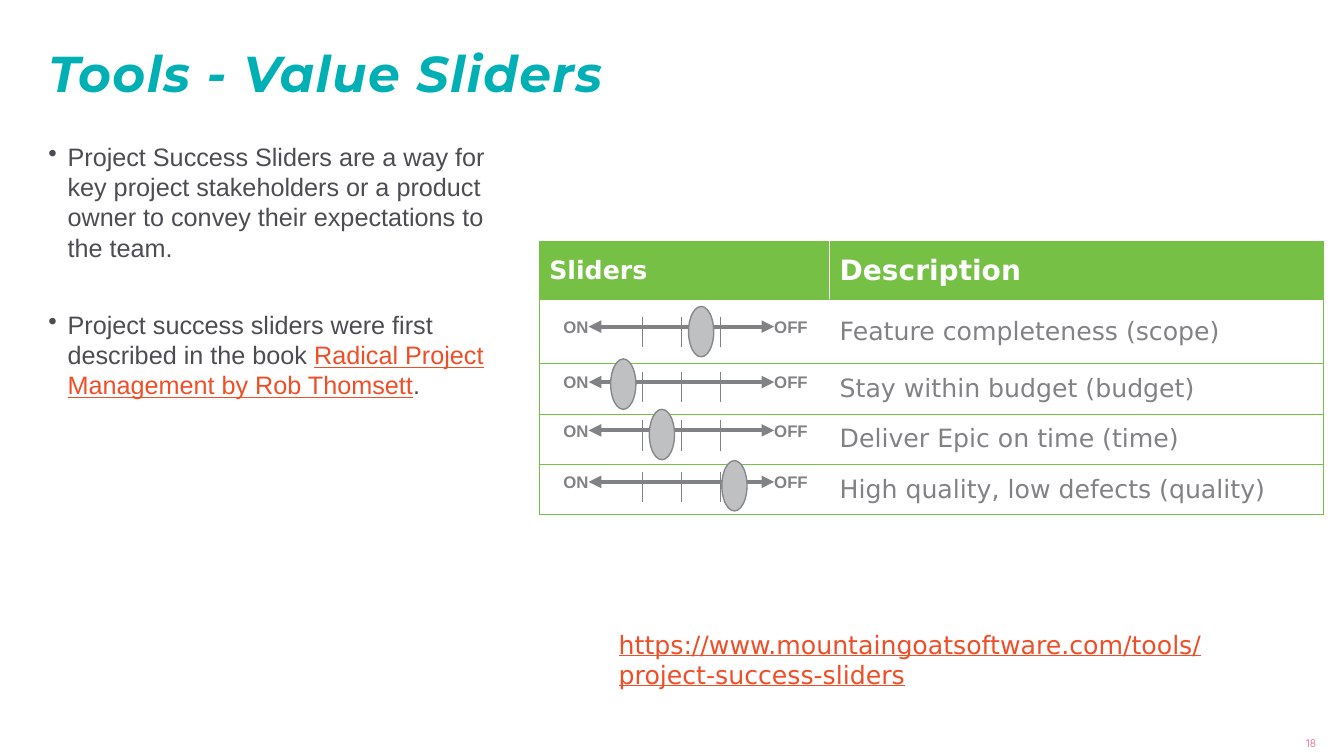
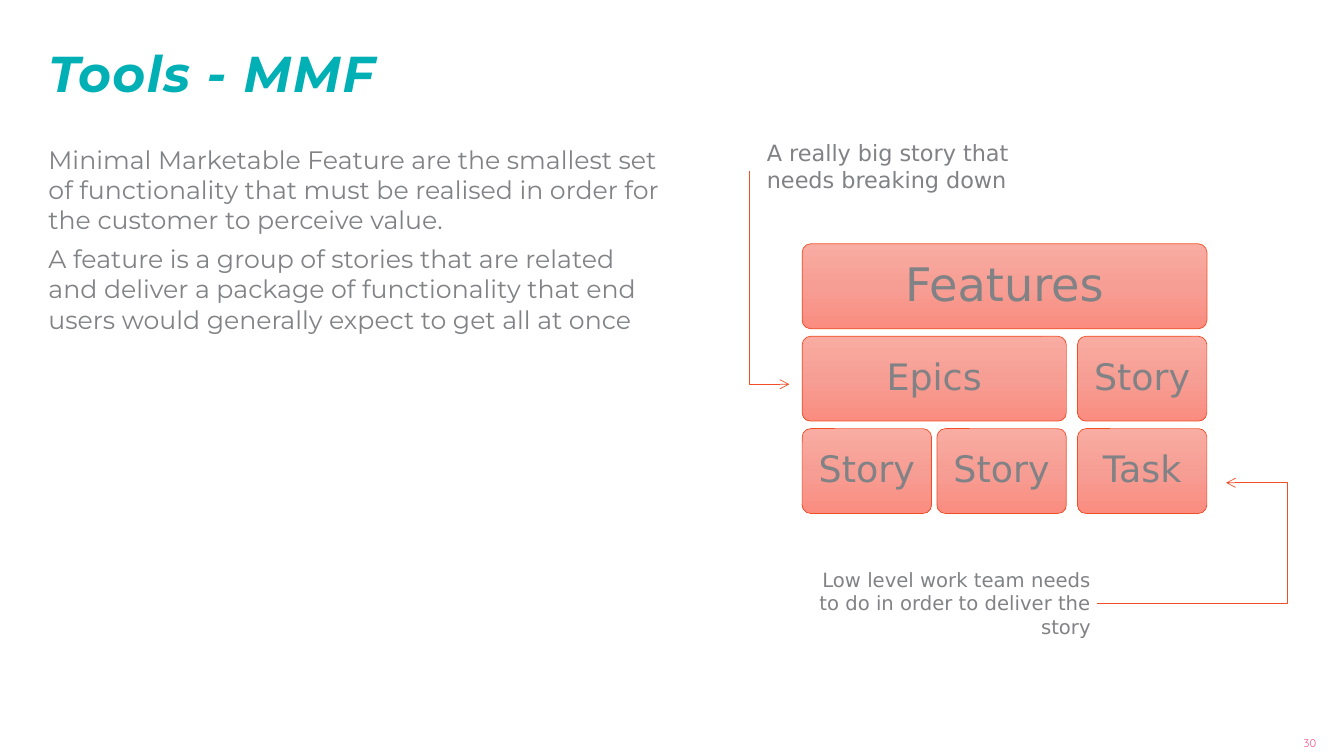
"""Build two slides on agile planning tools: value sliders and MMF."""
from dataclasses import dataclass

import lxml.etree
import pptx
import pptx.dml.color
import pptx.enum.shapes
import pptx.enum.text
import pptx.oxml
import pptx.oxml.ns
import pptx.util

Pt = pptx.util.Pt
RGB = pptx.dml.color.RGBColor
ALIGN = pptx.enum.text.PP_ALIGN
ANCHOR = pptx.enum.text.MSO_ANCHOR
SHAPE = pptx.enum.shapes.MSO_SHAPE
CONNECTOR = pptx.enum.shapes.MSO_CONNECTOR
qn = pptx.oxml.ns.qn
Point = tuple[float, float]


@dataclass(frozen=True)
class Theme:
    teal: str = "00B0B5"
    pink: str = "F05588"
    orange: str = "F04E27"
    green: str = "77C046"
    white: str = "FFFFFF"
    dark: str = "4C4D52"
    grey: str = "808285"
    knob: str = "BFC0C2"
    knob_edge: str = "86888B"
    block_stops: tuple = ((0, "F9ACA2"), (50, "F79E94"), (100, "FA8C80"))
    heading: str = "Montserrat"
    sans: str = "DejaVu Sans"
    plain: str = "Arial"
    number: str = "Quicksand"
    title_size: float = 36
    feature_size: float = 33
    block_size: float = 26
    header_size: float = 20
    body_size: float = 18
    note_size: float = 16
    small_note_size: float = 14
    label_size: float = 12
    number_size: float = 8


T = Theme()


@dataclass(frozen=True)
class Box:
    x: float
    y: float
    w: float
    h: float

    def emu(self) -> tuple:
        return tuple(Pt(v) for v in (self.x, self.y, self.w, self.h))


@dataclass(frozen=True)
class Style:
    font: str
    size: float
    color: str
    bold: bool = False
    italic: bool = False
    underline: bool = False


@dataclass(frozen=True)
class Slider:
    description: str
    row_height: float
    axis_y: float
    knob_x: float
    knob_y: float


@dataclass(frozen=True)
class Block:
    text: str
    row: int
    x: float
    w: float
    size: float = T.block_size


BODY = Style(T.heading, T.body_size, T.grey)
LABEL = Style(T.plain, T.label_size, T.grey, bold=True)

SLIDERS = (
    Slider("Feature completeness (scope)", 46, 233.3, 491.8, 218.9),
    Slider("Stay within budget (budget)", 36, 272.9, 436.2, 256.4),
    Slider("Deliver Epic on time (time)", 36, 307.4, 463.8, 292.4),
    Slider("High quality, low defects (quality)", 36, 344.2, 515.6, 329),
)

CELL_W, CELL_GAP, GROUP_GAP = 92.4, 3.9, 8
PAIR_W = 2 * CELL_W + CELL_GAP
COL_1 = 573
COL_2 = COL_1 + CELL_W + CELL_GAP
COL_3 = COL_1 + PAIR_W + GROUP_GAP
BLOCK_TOP, BLOCK_H, BLOCK_PITCH = 174.2, 60.6, 66
BLOCKS = (
    Block("Features", 0, COL_1, PAIR_W + GROUP_GAP + CELL_W, T.feature_size),
    Block("Epics", 1, COL_1, PAIR_W),
    Block("Story", 1, COL_3, CELL_W),
    Block("Story", 2, COL_1, CELL_W),
    Block("Story", 2, COL_2, CELL_W),
    Block("Task", 2, COL_3, CELL_W),
)


def style_font(font, style: Style) -> None:
    font.name, font.size = style.font, Pt(style.size)
    font.color.rgb = RGB.from_string(style.color)
    font.bold, font.italic, font.underline = style.bold, style.italic, style.underline


def set_margins(tf, x: float, y: float) -> None:
    tf.margin_left = tf.margin_right = Pt(x)
    tf.margin_top = tf.margin_bottom = Pt(y)


def add_text(s, box: Box, texts: tuple[str, ...], style: Style, align=ALIGN.LEFT,
             anchor=ANCHOR.TOP, margins: Point = (0, 0), wrap: bool = True):
    sp = s.shapes.add_textbox(*box.emu())
    tf = sp.text_frame
    tf.word_wrap, tf.vertical_anchor = wrap, anchor
    set_margins(tf, *margins)
    for i, text in enumerate(texts):
        p = tf.paragraphs[0] if i == 0 else tf.add_paragraph()
        p.text, p.alignment = text, align
        style_font(p.font, style)
    return sp


def style_line(sp, color: str, width: float) -> None:
    sp.line.color.rgb = RGB.from_string(color)
    sp.line.width = Pt(width)


def add_line(s, start: Point, end: Point, color: str, width: float,
             kind=CONNECTOR.STRAIGHT, head: str = "", tail: str = ""):
    sp = s.shapes.add_connector(kind, *(Pt(v) for v in start + end))
    style_line(sp, color, width)
    ln = sp.line._get_or_add_ln()
    for tag, arrow in (("a:headEnd", head), ("a:tailEnd", tail)):
        if arrow:
            lxml.etree.SubElement(ln, qn(tag), type=arrow)
    lxml.etree.SubElement(sp._element.spPr, qn("a:effectLst"))
    return sp


def add_elbow(s, start: Point, end: Point, bend: float) -> None:
    sp = add_line(s, start, end, T.orange, 0.5, CONNECTOR.ELBOW, tail="arrow")
    guides = sp._element.spPr.find(qn("a:prstGeom")).get_or_add_avLst()
    lxml.etree.SubElement(guides, qn("a:gd"), name="adj1",
                          fmla=f"val {round(bend * 100000)}")


def add_base(prs, title: str, number: str):
    s = prs.slides.add_slide(prs.slide_layouts[6])
    add_text(s, Box(858.2, 524.2, 82, 13), (number,),
             Style(T.number, T.number_size, T.pink), ALIGN.RIGHT, ANCHOR.MIDDLE,
             wrap=False)
    sp = add_text(s, Box(34.6, 32.4, 741.6, 43.9), (title,),
                  Style(T.heading, T.title_size, T.teal, bold=True, italic=True),
                  anchor=ANCHOR.MIDDLE)
    p = sp.text_frame.paragraphs[0]
    p.line_spacing = 0.9
    p.font._element.set("spc", "100")
    return s


def add_bullets(s) -> None:
    link = "Radical Project Management by Rob Thomsett"
    sp = add_text(s, Box(34.6, 100.8, 340.6, 359.3), (
        "Project Success Sliders are a way for key project stakeholders or a product "
        "owner to convey their expectations to the team.",
        "Project success sliders were first described in the book "),
        Style(T.plain, T.body_size, T.dark))
    for p in sp.text_frame.paragraphs:
        pPr = p._p.get_or_add_pPr()
        pPr.set("marL", str(Pt(13.7)))
        pPr.set("indent", str(-Pt(13.7)))
        pPr.insert(0, pptx.oxml.parse_xml(
            f'<a:buChar {pptx.oxml.ns.nsdecls("a")} char="•"/>'))
        p.space_after = Pt(6)
    p.space_before = Pt(27.6)
    r = p.add_run()
    r.text = link
    r.font.underline = True
    r.font.color.rgb = RGB.from_string(T.orange)
    p.add_run().text = "."


def set_border(cell, sides: str) -> None:
    tcPr = cell._tc.get_or_add_tcPr()
    for i, side in enumerate(sides):
        tcPr.insert(i, pptx.oxml.parse_xml(
            f'<a:ln{side} {pptx.oxml.ns.nsdecls("a")} w="{Pt(0.5)}"><a:solidFill>'
            f'<a:srgbClr val="{T.green}"/></a:solidFill></a:ln{side}>'))


def add_slider_table(s) -> None:
    heights = [41.2] + [slider.row_height for slider in SLIDERS]
    widths = (207.4, 353)
    box = Box(385.2, 172.5, sum(widths), sum(heights))
    table = s.shapes.add_table(len(heights), len(widths), *box.emu()).table
    table.first_row = table.horz_banding = False
    for column, width in zip(table.columns, widths):
        column.width = Pt(width)
    rows = [("Sliders", "Description")] + [("", sl.description) for sl in SLIDERS]
    for i, texts in enumerate(rows):
        table.rows[i].height = Pt(heights[i])
        for j, text in enumerate(texts):
            cell = table.cell(i, j)
            cell.vertical_anchor = ANCHOR.MIDDLE
            set_margins(cell, 7.2, 3.6)
            p = cell.text_frame.paragraphs[0]
            p.text = text
            if i == 0:
                cell.fill.solid()
                cell.fill.fore_color.rgb = RGB.from_string(T.green)
                size = T.header_size if j else T.body_size
                style_font(p.font, Style(T.sans, size, T.white, bold=True))
            else:
                cell.fill.background()
                style_font(p.font, Style(T.sans, T.body_size, T.grey))
            set_border(cell, "RTB" if j else "LTB")


def add_slider(s, slider: Slider) -> None:
    left, right, y = 420.5, 553, slider.axis_y
    on = add_text(s, Box(left - 18, y - 7.2, 18, 14.4), ("ON",), LABEL, ALIGN.RIGHT,
                  wrap=False)
    off = add_text(s, Box(right, y - 7.2, 24.4, 14.4), ("OFF",), LABEL, wrap=False)
    axis = add_line(s, (left, y), (right, y), T.grey, 3, head="triangle",
                    tail="triangle")
    axis.begin_connect(on, 3)
    axis.end_connect(off, 1)
    for step in (-1, 0, 1):
        x = (left + right) / 2 + step * 27.8
        add_line(s, (x, y - 7.2), (x, y + 14.4), T.grey, 1)
    knob = s.shapes.add_shape(SHAPE.OVAL, *Box(slider.knob_x, slider.knob_y, 18, 36).emu())
    knob.shadow.inherit = False
    knob.fill.solid()
    knob.fill.fore_color.rgb = RGB.from_string(T.knob)
    style_line(knob, T.knob_edge, 1)


def add_block(s, block: Block) -> None:
    box = Box(block.x, BLOCK_TOP + block.row * BLOCK_PITCH, block.w, BLOCK_H)
    sp = s.shapes.add_shape(SHAPE.ROUNDED_RECTANGLE, *box.emu())
    sp.shadow.inherit = False
    sp.adjustments[0] = 0.1
    sp.fill.gradient()
    sp.fill.gradient_angle = 270
    stops = sp._element.spPr.find(qn("a:gradFill")).find(qn("a:gsLst"))
    stops.clear()
    for position, color in T.block_stops:
        gs = lxml.etree.SubElement(stops, qn("a:gs"), pos=str(position * 1000))
        lxml.etree.SubElement(gs, qn("a:srgbClr"), val=color)
    style_line(sp, T.orange, 0.5)
    tf = sp.text_frame
    tf.word_wrap, tf.vertical_anchor = True, ANCHOR.MIDDLE
    set_margins(tf, 9, 9)
    p = tf.paragraphs[0]
    p.text, p.alignment, p.line_spacing = block.text, ALIGN.CENTER, 0.9
    style_font(p.font, Style(T.sans, block.size, T.grey))


def add_sliders_slide(prs) -> None:
    s = add_base(prs, "Tools - Value Sliders", "18")
    add_bullets(s)
    add_slider_table(s)
    for slider in SLIDERS:
        add_slider(s, slider)
    add_text(s, Box(434.9, 445.7, 480.2, 51),
             ("https://www.mountaingoatsoftware.com/tools/project-success-sliders",),
             Style(T.sans, T.body_size, T.orange, underline=True), margins=(7.2, 3.6))


def add_mmf_slide(prs) -> None:
    s = add_base(prs, "Tools - MMF", "30")
    sp = add_text(s, Box(34.6, 103, 438.5, 359.3), (
        "Minimal Marketable Feature are the smallest set of functionality that must be "
        "realised in order for the customer to perceive value.",
        "A feature is a group of stories that are related and deliver a package of "
        "functionality that end users would generally expect to get all at once"), BODY)
    for p in sp.text_frame.paragraphs:
        p.space_after = Pt(6)
    for block in BLOCKS:
        add_block(s, block)
    add_text(s, Box(540.7, 95.8, 218.9, 46), ("A really big story that needs breaking down",),
             Style(T.sans, T.note_size, T.grey), margins=(7.2, 3.6))
    add_elbow(s, (535.4, 122.4), (563.8, 274.5), 0)
    add_text(s, Box(577.4, 401.8, 208.8, 58.3),
             ("Low level work team needs to do in order to deliver the story",),
             Style(T.sans, T.small_note_size, T.grey), ALIGN.RIGHT, margins=(7.2, 3.6))
    add_elbow(s, (783.4, 431.3), (875.8, 344.9), 1.47)


def main() -> None:
    prs = pptx.Presentation()
    prs.slide_width, prs.slide_height = Pt(960), Pt(540)
    add_sliders_slide(prs)
    add_mmf_slide(prs)
    prs.save("out.pptx")


if __name__ == "__main__":
    main()
